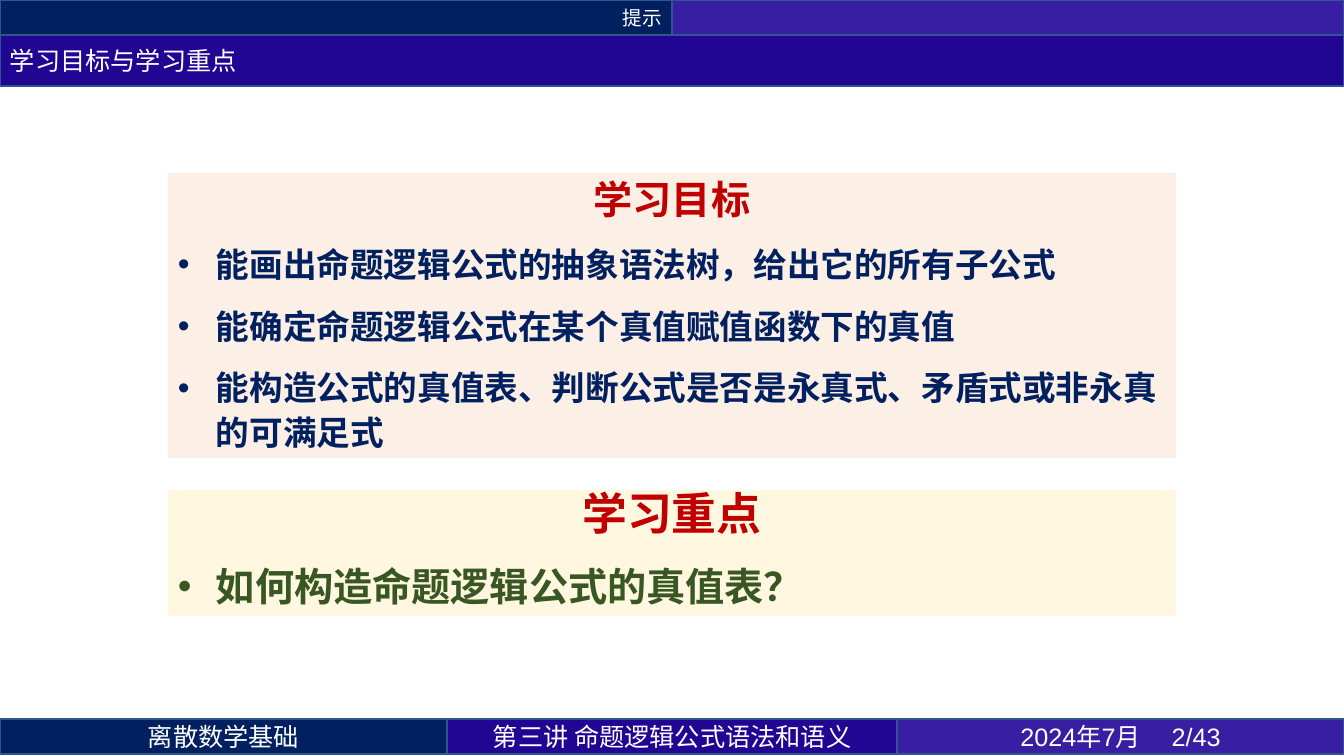
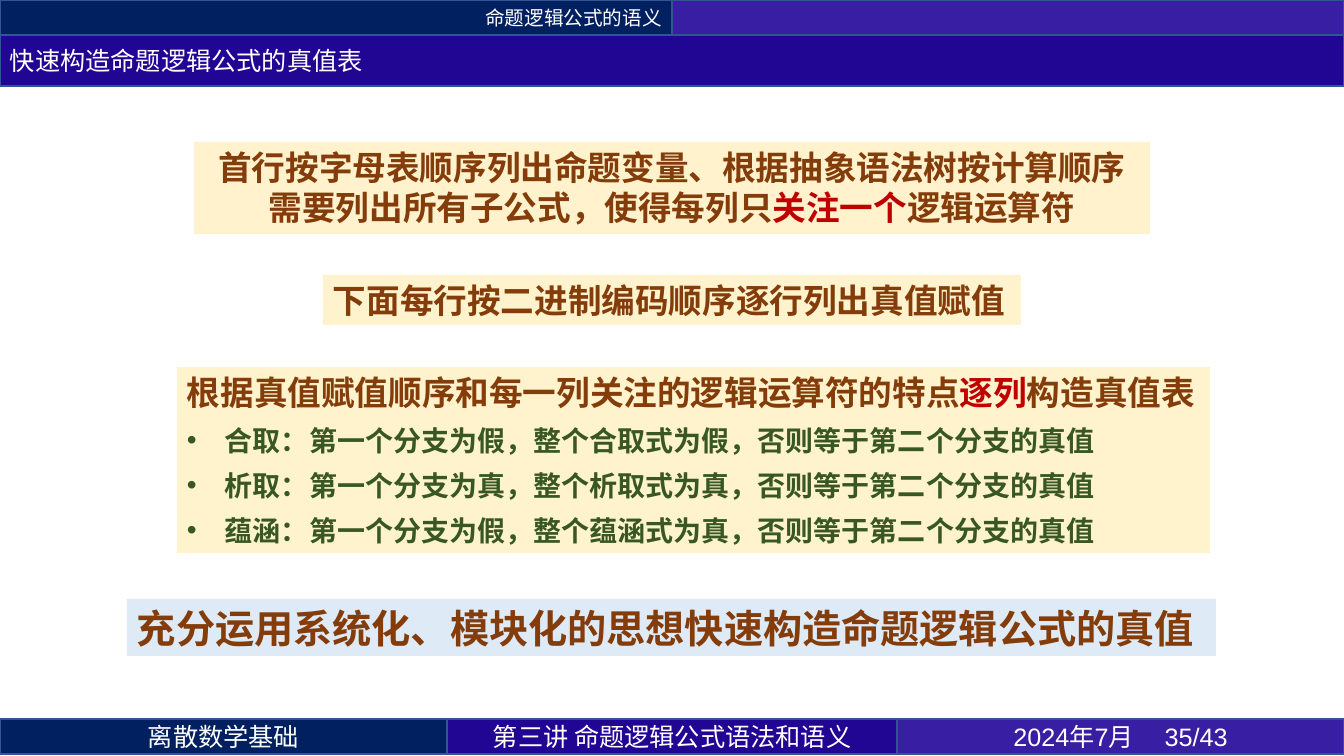
from dataclasses import dataclass

from lxml.etree import SubElement
from pptx import Presentation
from pptx.dml.color import RGBColor
from pptx.enum.shapes import MSO_SHAPE
from pptx.enum.text import MSO_ANCHOR, MSO_AUTO_SIZE, PP_ALIGN
from pptx.oxml.ns import qn
from pptx.util import Inches, Pt

WIDTH, HEIGHT = 1344, 756
SCALE = Inches(7.5) / HEIGHT


def px(length):
    return round(length * SCALE)


@dataclass(frozen=True)
class Theme:
    navy: str = "002060"
    indigo: str = "210694"
    violet: str = "371EA2"
    border: str = "325491"
    white: str = "FFFFFF"
    red: str = "C00000"
    green: str = "385723"
    brown: str = "843C0B"
    peach: str = "FBE5D6"
    cream: str = "FFF2CC"
    gold: str = "FFE699"
    sand: str = "FFF3CD"
    sky: str = "DEEBF7"
    cjk_font: str = "Noto Sans CJK SC"
    latin_font: str = "Arial"
    section_size: int = 14
    bar_size: int = 18
    detail_size: int = 20
    body_size: int = 24
    large_size: int = 28
    heading_size: int = 32


THEME = Theme()


@dataclass(frozen=True)
class TextStyle:
    size: int
    color: str
    align: PP_ALIGN = PP_ALIGN.LEFT
    bold: bool = True
    bullet: bool = False
    font: str = THEME.cjk_font


class Deck:
    """Holds the presentation, its theme and the slide being filled."""

    bar_height = 35
    title_height = 51
    bullet_indent = 38

    def __init__(self, theme):
        self.theme = theme
        self.presentation = Presentation()
        self.presentation.slide_width = px(WIDTH)
        self.presentation.slide_height = px(HEIGHT)
        self.slide = None

    def new_slide(self, section, title, page):
        theme = self.theme
        self.slide = self.presentation.slides.add_slide(self.presentation.slide_layouts[6])
        half = WIDTH // 2
        self.bar(0, 0, half, theme.navy, section, PP_ALIGN.RIGHT, theme.section_size)
        self.bar(half, 0, half, theme.violet)
        footers = (
            (447, theme.navy, "离散数学基础", theme.cjk_font),
            (450, theme.indigo, "第三讲 命题逻辑公式语法和语义", theme.cjk_font),
            (447, theme.violet, f"2024年7月 \t{page}/43", theme.latin_font),
        )
        left = 0
        for width, color, label, font in footers:
            self.bar(left, 719, width, color, label, font=font)
            left += width
        self.bar(0, self.bar_height, WIDTH, theme.indigo, title, PP_ALIGN.LEFT,
                 height=self.title_height)

    def bar(self, left, top, width, color, label="", align=PP_ALIGN.CENTER,
            size=THEME.bar_size, height=bar_height, font=THEME.cjk_font):
        band = self.slide.shapes.add_shape(
            MSO_SHAPE.RECTANGLE, px(left), px(top), px(width), px(height))
        band.shadow.inherit = False
        band.fill.solid()
        band.fill.fore_color.rgb = RGBColor.from_string(color)
        band.line.color.rgb = RGBColor.from_string(self.theme.border)
        band.line.width = Pt(1)
        if label:
            band.text_frame.vertical_anchor = MSO_ANCHOR.MIDDLE
            style = TextStyle(size, self.theme.white, align, bold=False, font=font)
            self.set_text(band.text_frame.paragraphs[0], label, style)

    def panel(self, box, color, content, opacity=100, wrap=True,
              before=0, after=0, line_spacing=None):
        """Draw a tinted box; content is a list of (text or runs, style) pairs."""
        area = self.slide.shapes.add_textbox(*map(px, box))
        area.fill.solid()
        area.fill.fore_color.rgb = RGBColor.from_string(color)
        if opacity < 100:
            tint = area.element.spPr.find(qn("a:solidFill"))[0]
            SubElement(tint, qn("a:alpha"), val=str(opacity * 1000))
        frame = area.text_frame
        frame.word_wrap = wrap
        frame.auto_size = MSO_AUTO_SIZE.SHAPE_TO_FIT_TEXT
        for index, (text, style) in enumerate(content):
            paragraph = frame.add_paragraph() if index else frame.paragraphs[0]
            paragraph.space_before = Pt(before if index else 0)
            paragraph.space_after = Pt(after)
            if line_spacing:
                paragraph.line_spacing = Pt(line_spacing)
            self.set_text(paragraph, text, style)

    def set_text(self, paragraph, text, style):
        """Fill a paragraph from a string or from (text, colour) runs; None keeps the colour."""
        paragraph.alignment = style.align
        if style.bullet:
            self.add_bullet(paragraph)
        font = paragraph.font
        font.size = Pt(style.size)
        font.bold = style.bold
        font.name = style.font
        font.color.rgb = RGBColor.from_string(style.color)
        defaults = paragraph._p.pPr.find(qn("a:defRPr"))
        SubElement(defaults, qn("a:ea"), typeface=self.theme.cjk_font)
        runs = [(text, None)] if isinstance(text, str) else text
        for words, color in runs:
            run = paragraph.add_run()
            run.text = words
            if color:
                run.font.color.rgb = RGBColor.from_string(color)

    def add_bullet(self, paragraph):
        properties = paragraph._p.get_or_add_pPr()
        indent = px(self.bullet_indent)
        properties.set("marL", str(indent))
        properties.set("indent", str(-indent))
        SubElement(properties, qn("a:buFont"), typeface=self.theme.latin_font)
        SubElement(properties, qn("a:buChar"), char="•")


def add_goals_slide(deck):
    theme = deck.theme
    deck.new_slide("提示", "学习目标与学习重点", 2)
    goal_heading = TextStyle(theme.large_size, theme.red, PP_ALIGN.CENTER)
    goal = TextStyle(theme.body_size, theme.navy, bullet=True)
    goals = (
        "能画出命题逻辑公式的抽象语法树，给出它的所有子公式",
        "能确定命题逻辑公式在某个真值赋值函数下的真值",
        "能构造公式的真值表、判断公式是否是永真式、矛盾式或非永真的可满足式",
    )
    deck.panel((168, 173, 1008, 285), theme.peach,
               [("学习目标", goal_heading)] + [(text, goal) for text in goals],
               opacity=60, before=6, after=6, line_spacing=32)
    focus_heading = TextStyle(theme.heading_size, theme.red, PP_ALIGN.CENTER)
    focus = TextStyle(theme.large_size, theme.green, bullet=True)
    deck.panel((168, 490, 1008, 126), theme.cream,
               [("学习重点", focus_heading), ("如何构造命题逻辑公式的真值表？", focus)],
               opacity=60, before=12, after=6, line_spacing=32)


def add_method_slide(deck):
    theme = deck.theme
    deck.new_slide("命题逻辑公式的语义", "快速构造命题逻辑公式的真值表", 35)
    step = TextStyle(theme.body_size, theme.brown)
    header_step = TextStyle(theme.body_size, theme.brown, PP_ALIGN.CENTER)
    rule = TextStyle(theme.detail_size, theme.green, bullet=True)
    summary = TextStyle(theme.large_size, theme.brown)

    header_runs = [
        ("首行按字母表顺序列出命题变量、根据抽象语法树按计算顺序需要列出所有子公式，使得每列只", None),
        ("关注一个", theme.red),
        ("逻辑运算符", None),
    ]
    deck.panel((194, 142, 956, 92), theme.gold, [(header_runs, header_step)], opacity=49)
    deck.panel((323, 275, 698, 50), theme.sand,
               [("下面每行按二进制编码顺序逐行列出真值赋值", step)], wrap=False)

    column_runs = [
        ("根据真值赋值顺序和每一列关注的逻辑运算符的特点", None),
        ("逐列", theme.red),
        ("构造真值表", None),
    ]
    connectives = (("合取", "假", "假"), ("析取", "真", "真"), ("蕴涵", "假", "真"))
    rules = [
        (f"{name}：第一个分支为{branch}，整个{name}式为{value}，否则等于第二个分支的真值", rule)
        for name, branch, value in connectives
    ]
    deck.panel((177, 367, 1033, 186), theme.sand, [(column_runs, step)] + rules,
               before=4, after=4)
    deck.panel((127, 599, 1089, 57), theme.sky,
               [("充分运用系统化、模块化的思想快速构造命题逻辑公式的真值", summary)], wrap=False)


def main():
    deck = Deck(THEME)
    add_goals_slide(deck)
    add_method_slide(deck)
    deck.presentation.save("out.pptx")


if __name__ == "__main__":
    main()
